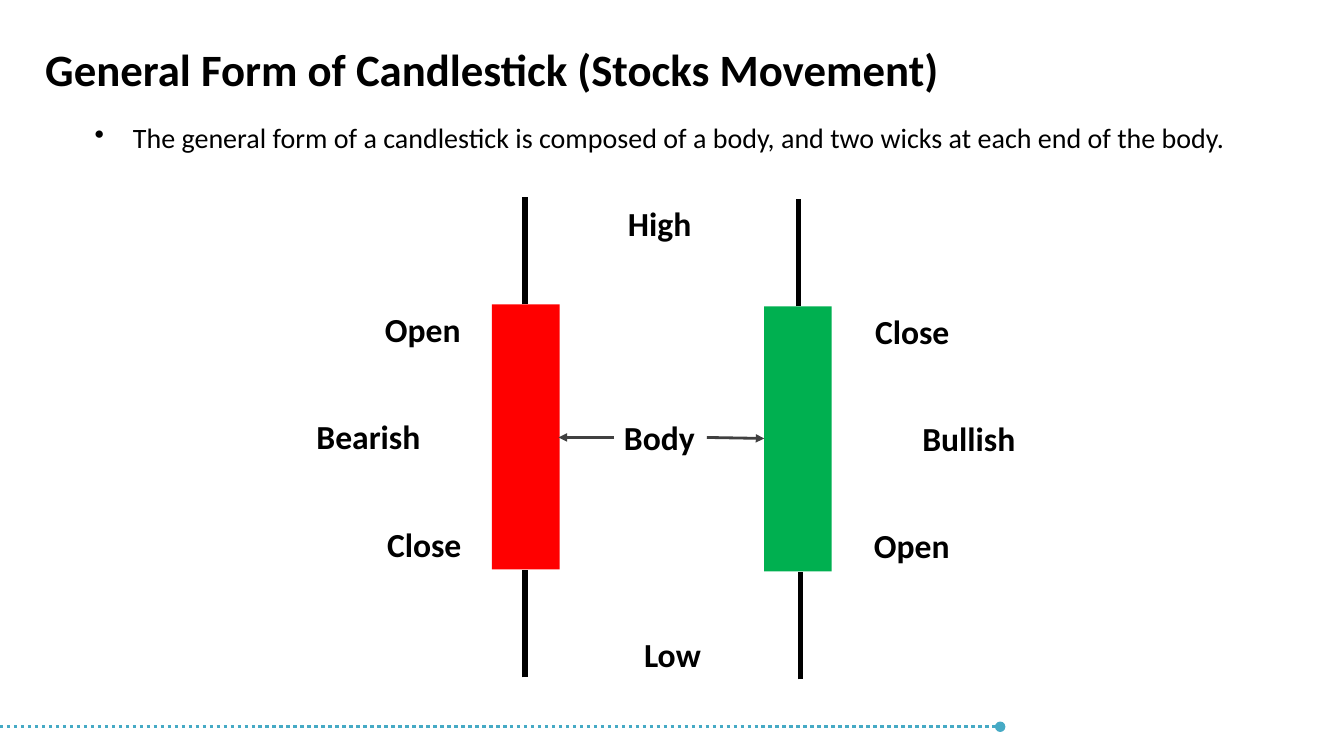
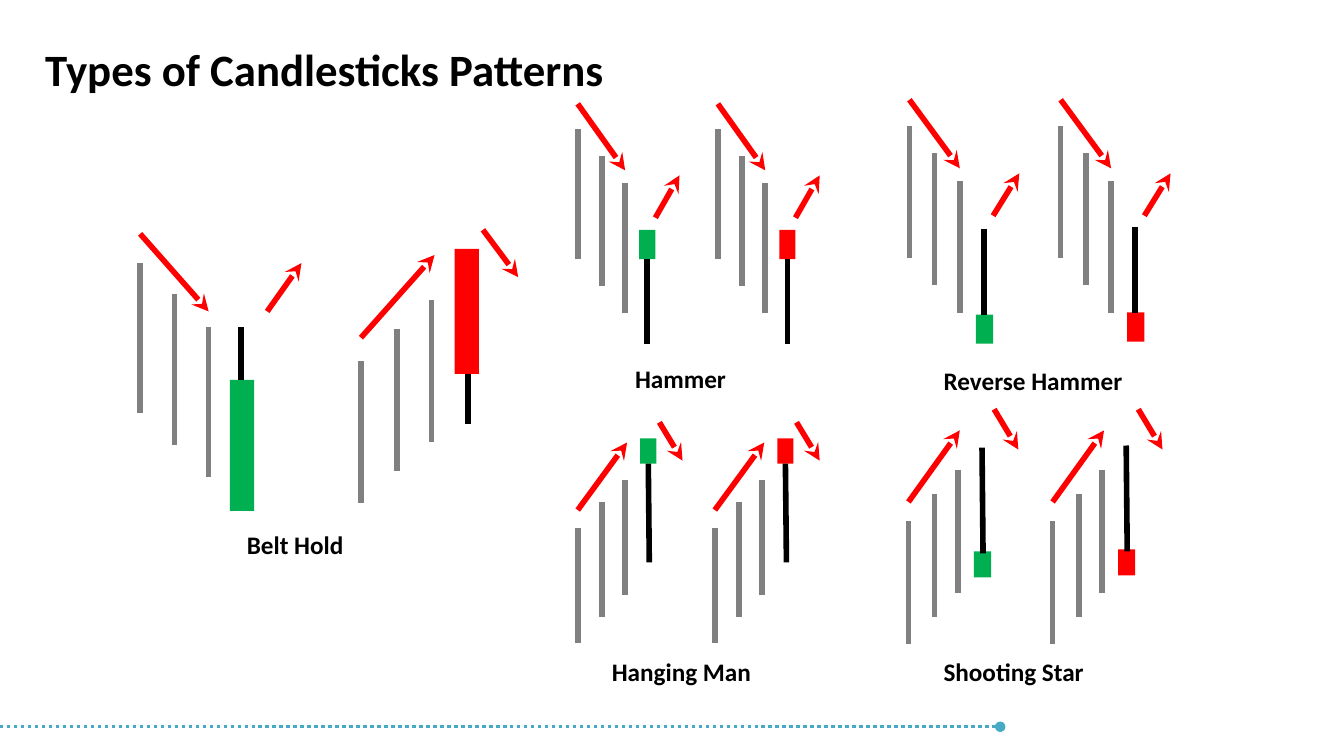
"""Build two slides on candlestick charts and their patterns."""
from dataclasses import dataclass

from pptx import Presentation
from pptx.dml.color import RGBColor
from pptx.enum.dml import MSO_LINE
from pptx.enum.shapes import MSO_CONNECTOR, MSO_SHAPE
from pptx.enum.text import MSO_ANCHOR, MSO_AUTO_SIZE
from pptx.oxml.ns import qn
from pptx.util import Emu, Pt
from lxml.etree import SubElement

PX = 9144


def px(length):
    return Emu(length * PX)


@dataclass(frozen=True)
class Theme:
    font: str = "Calibri"
    text: str = "000000"
    wick: str = "000000"
    bear: str = "FF0000"
    bull: str = "00B050"
    bar: str = "808080"
    trend: str = "FF0000"
    pointer: str = "404040"
    footer: str = "46AAC5"
    title_size: int = 32
    label_size: int = 24
    bullet_size: int = 20
    caption_size: int = 18
    thick: float = 4
    thin: float = 2
    footer_width: float = 2.5


THEME = Theme()


@dataclass(frozen=True)
class Pattern:
    """x values count from the first bar; placements are (x, colour, lift)."""
    placements: tuple
    bars: tuple
    bar_length: int
    body: tuple
    wick: tuple
    trend: tuple
    reversal: tuple


class Deck:
    """Holds the theme and the current slide, and draws each kind of element."""

    def __init__(self, theme):
        self.theme = theme
        self.presentation = Presentation()
        self.presentation.slide_width = px(1333)
        self.presentation.slide_height = px(750)
        self.slide = None

    def new_slide(self, title):
        layout = self.presentation.slide_layouts[6]
        self.slide = self.presentation.slides.add_slide(layout)
        theme = self.theme
        self.line(0, 721, 992, 721, theme.footer, theme.footer_width,
                  end="oval", dash=MSO_LINE.ROUND_DOT)
        self.text(title, 35, 32, 1142, 73, theme.title_size,
                  anchor=MSO_ANCHOR.MIDDLE)

    def line(self, x1, y1, x2, y2, color, width, end=None, dash=None):
        connector = self.slide.shapes.add_connector(
            MSO_CONNECTOR.STRAIGHT, px(x1), px(y1), px(x2), px(y2))
        connector.line.color.rgb = RGBColor.from_string(color)
        connector.line.width = Pt(width)
        if dash is not None:
            connector.line.dash_style = dash
        properties = connector._element.spPr
        if end:
            SubElement(properties.get_or_add_ln(), qn("a:tailEnd"), type=end)
        SubElement(properties, qn("a:effectLst"))

    def body(self, left, top, width, height, color):
        shape = self.slide.shapes.add_shape(
            MSO_SHAPE.RECTANGLE, px(left), px(top), px(width), px(height))
        shape.shadow.inherit = False
        shape.fill.solid()
        shape.fill.fore_color.rgb = RGBColor.from_string(color)
        shape.line.fill.background()

    def text(self, words, left, top, width, height, size, bold=True,
             wrap=True, anchor=MSO_ANCHOR.TOP):
        box = self.slide.shapes.add_textbox(
            px(left), px(top), px(width), px(height))
        frame = box.text_frame
        frame.word_wrap = wrap
        frame.vertical_anchor = anchor
        if not wrap:
            frame.auto_size = MSO_AUTO_SIZE.SHAPE_TO_FIT_TEXT
        paragraph = frame.paragraphs[0]
        paragraph.text = words
        font = paragraph.font
        font.name, font.size, font.bold = self.theme.font, Pt(size), bold
        font.color.rgb = RGBColor.from_string(self.theme.text)
        return paragraph

    def bullet(self, words, left, top, width, height):
        size = self.theme.bullet_size
        paragraph = self.text(words, left, top, width, height, size, bold=False)
        paragraph.space_before = Pt(size * 0.2)
        properties = paragraph._p.get_or_add_pPr()
        properties.set("marL", str(px(38)))
        properties.set("indent", str(px(-38)))
        mark = SubElement(properties, qn("a:buChar"), char="•")
        properties.find(qn("a:spcBef")).addnext(mark)

    def label(self, words, left, top, width):
        self.text(words, left, top, width, 50, self.theme.label_size, wrap=False)

    def caption(self, words, left, top, width):
        self.text(words, left, top, width, 40, self.theme.caption_size, wrap=False)

    def wick(self, x1, y1, x2, y2):
        self.line(x1, y1, x2, y2, self.theme.wick, self.theme.thick)

    def pointer(self, x1, y1, x2, y2):
        self.line(x1, y1, x2, y2, self.theme.pointer, self.theme.thin, "triangle")

    def pattern(self, pattern):
        theme = self.theme
        for x, color, lift in pattern.placements:
            left, top, width, height = pattern.body
            self.body(x + left, top - lift, width, height, color)
            x1, y1, x2, y2 = pattern.wick
            self.wick(x + x1, y1 - lift, x + x2, y2 - lift)
            for offset, top in pattern.bars:
                self.line(x + offset, top, x + offset, top + pattern.bar_length,
                          theme.bar, theme.thick)
            for x1, y1, x2, y2 in (pattern.trend, pattern.reversal):
                self.line(x + x1, y1, x + x2, y2, theme.trend, theme.thick,
                          "stealth")


LABELS = (
    ("Open", 372, 302, 96), ("Close", 374, 515, 95),
    ("Close", 858, 304, 95), ("Open", 857, 516, 96),
    ("Bearish", 304, 408, 125), ("Bullish", 905, 410, 113),
    ("High", 613, 196, 84), ("Body", 609, 409, 91), ("Low", 629, 624, 77),
)

CAPTIONS = (
    ("Belt Hold", 235, 520, 117),
    ("Hammer", 620, 356, 111), ("Hanging Man", 597, 646, 159),
    ("Reverse Hammer", 926, 358, 199), ("Shooting Star", 926, 646, 161),
)

BELT_HOLD_BULL = Pattern(
    placements=((139, THEME.bull, 0),),
    bars=((0, 261), (34, 292), (68, 324)), bar_length=149,
    body=(89, 377, 24, 130), wick=(100, 377, 100, 324),
    trend=(0, 232, 68, 309), reversal=(126, 309, 160, 261))
BELT_HOLD_BEAR = Pattern(
    placements=((358, THEME.bear, 0),),
    bars=((0, 358), (36, 326), (70, 298)), bar_length=141,
    body=(93, 247, 24, 124), wick=(106, 421, 106, 371),
    trend=(0, 335, 73, 253), reversal=(121, 228, 156, 275))
HAMMER = Pattern(
    placements=((573, THEME.bull, 0), (712, THEME.bear, 0)),
    bars=((0, 128), (24, 155), (47, 182)), bar_length=129,
    body=(61, 228, 16, 29), wick=(69, 341, 69, 257),
    trend=(0, 103, 47, 169), reversal=(77, 216, 101, 174))
HANGING_MAN = Pattern(
    placements=((573, THEME.bull, 0), (709, THEME.bear, 0)),
    bars=((0, 524), (24, 498), (47, 476)), bar_length=114,
    body=(62, 435, 16, 25), wick=(71, 558, 70, 460),
    trend=(0, 506, 49, 439), reversal=(81, 419, 104, 457))
REVERSE_HAMMER = Pattern(
    placements=((902, THEME.bull, 0), (1052, THEME.bear, 2)),
    bars=((0, 125), (25, 152), (50, 180)), bar_length=131,
    body=(66, 312, 17, 29), wick=(74, 313, 74, 227),
    trend=(0, 99, 50, 167), reversal=(83, 214, 109, 172))
SHOOTING_STAR = Pattern(
    placements=((901, THEME.bull, 0), (1044, THEME.bear, 2)),
    bars=((0, 517), (26, 490), (49, 466)), bar_length=122,
    body=(65, 547, 17, 26), wick=(74, 549, 73, 444),
    trend=(0, 498, 51, 427), reversal=(85, 406, 109, 446))
PATTERNS = (BELT_HOLD_BULL, BELT_HOLD_BEAR, HAMMER, HANGING_MAN,
            REVERSE_HAMMER, SHOOTING_STAR)


def add_general_form(deck):
    deck.new_slide("General Form of Candlestick (Stocks Movement)")
    deck.bullet("The general form of a candlestick is composed of a body, "
                "and two wicks at each end of the body.", 84, 115, 1158, 559)
    width, height, wick = 67, 263, 107
    for left, top, upper, lower, color in (
            (488, 302, 521, 521, THEME.bear), (758, 304, 792, 794, THEME.bull)):
        bottom = top + height
        deck.body(left, top, width, height, color)
        deck.wick(upper, top, upper, top - wick)
        deck.wick(lower, bottom + wick, lower, bottom)
    deck.pointer(609, 434, 554, 434)
    deck.pointer(701, 434, 758, 435)
    for label in LABELS:
        deck.label(*label)


def add_pattern_types(deck):
    deck.new_slide("Types of Candlesticks Patterns")
    for pattern in PATTERNS:
        deck.pattern(pattern)
    for caption in CAPTIONS:
        deck.caption(*caption)


def main():
    deck = Deck(THEME)
    add_general_form(deck)
    add_pattern_types(deck)
    deck.presentation.save("out.pptx")


if __name__ == "__main__":
    main()
